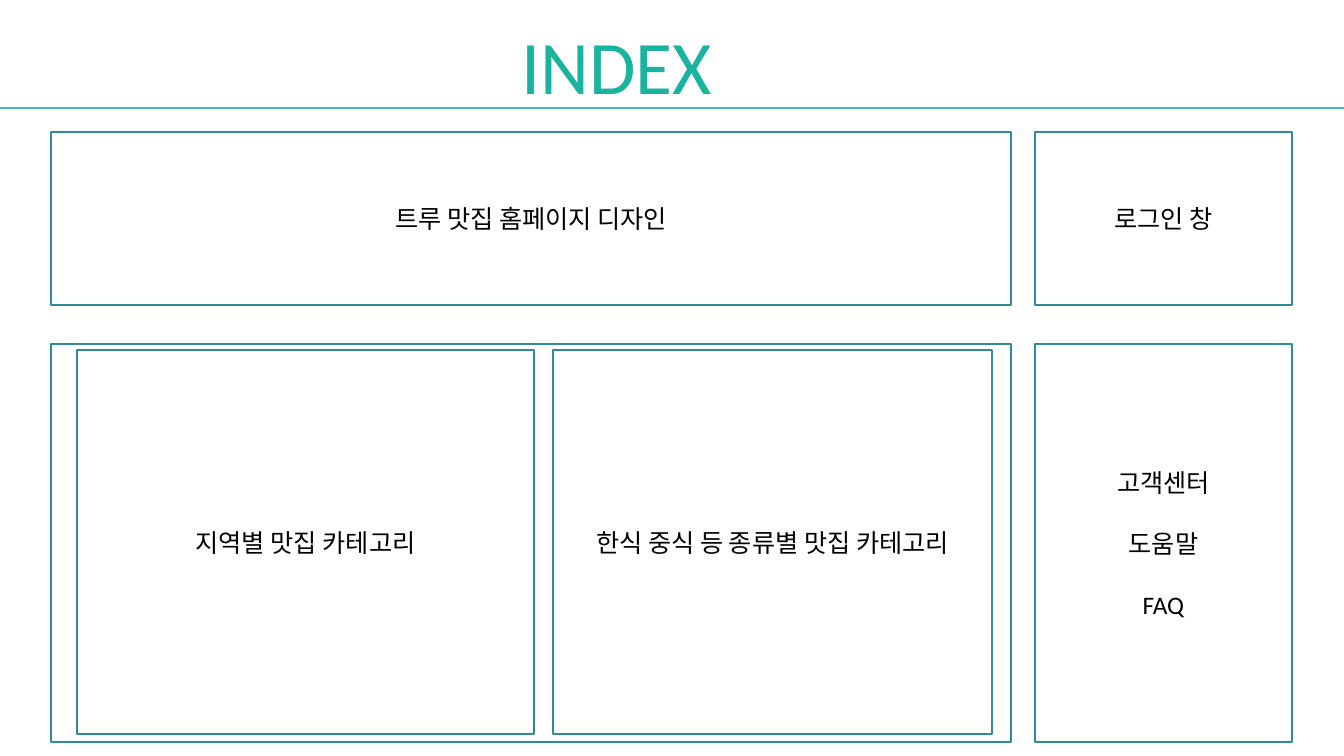
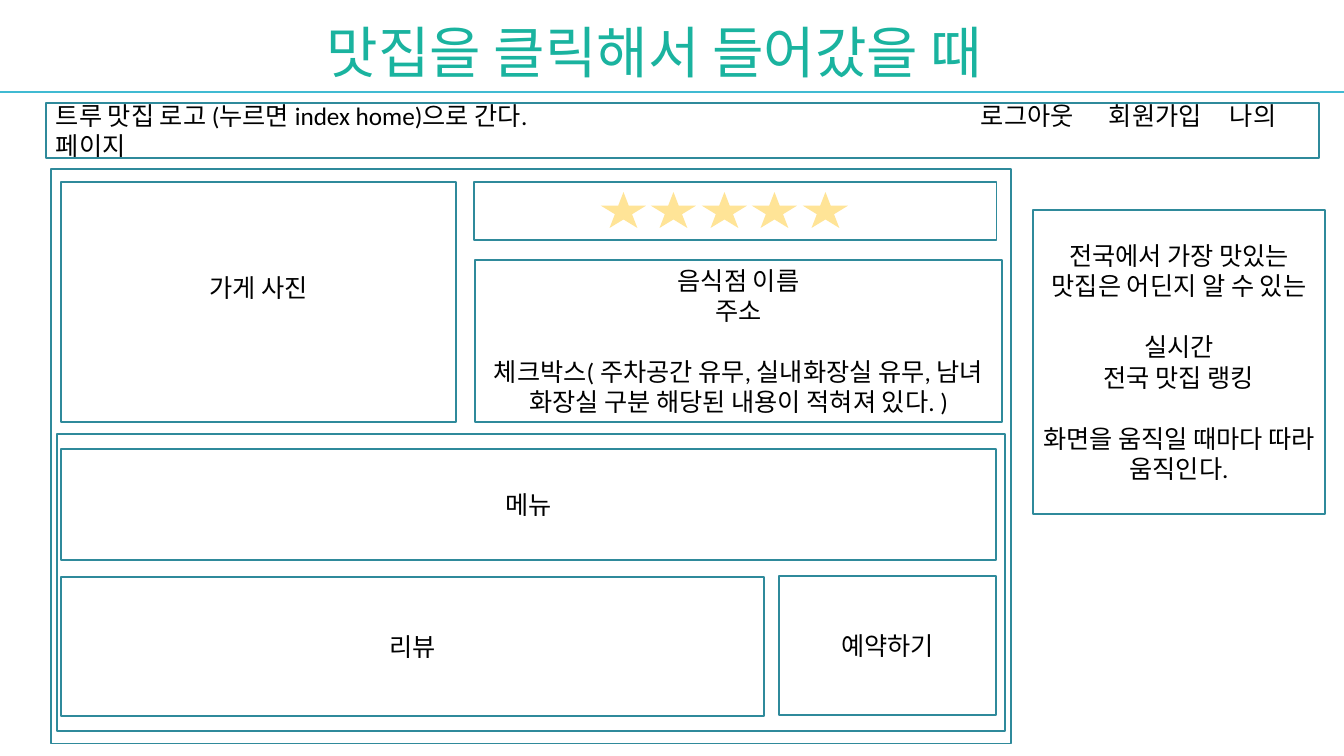
import pptx
import pptx.util
import pptx.dml.color
import pptx.enum.shapes
import pptx.enum.text
import pptx.oxml.ns
from lxml import etree

PX = 9071
GAP = pptx.util.Pt(22)
FONT = "Calibri"
TITLE, RULE, EDGE = "1AB39F", "40BAD2", "2F8A9B"
PAPER, INK, STAR = "FFFFFF", "000000", "FFE497"
ALIGN = pptx.enum.text.PP_ALIGN
ANCHOR = pptx.enum.text.MSO_ANCHOR
SHAPE = pptx.enum.shapes.MSO_SHAPE


def color(value):
    return pptx.dml.color.RGBColor.from_string(value)


def add_box(page, left, top, width, height, text=""):
    box = page.shapes.add_shape(
        SHAPE.RECTANGLE, left * PX, top * PX, width * PX, height * PX)
    box.shadow.inherit = False
    box.fill.solid()
    box.fill.fore_color.rgb = color(PAPER)
    box.line.color.rgb = color(EDGE)
    box.line.width = pptx.util.Pt(0.85)
    frame = box.text_frame
    frame.word_wrap = True
    frame.vertical_anchor = ANCHOR.MIDDLE
    if text:
        for block_index, block in enumerate(text.split("\n\n")):
            for line_index, line in enumerate(block.split("\n")):
                first = block_index == line_index == 0
                para = frame.paragraphs[0] if first else frame.add_paragraph()
                para.text = line
                para.alignment = ALIGN.CENTER
                if block_index and line_index == 0:
                    para.space_before = GAP
                para.font.name = FONT
                para.font.size = pptx.util.Pt(18)
                para.font.color.rgb = color(INK)
    return box


deck = pptx.Presentation()
deck.slide_width = 1344 * PX
deck.slide_height = 756 * PX

headings = [
    ("INDEX", 54, (502, 14, 230, 102), 108),
    ("맛집을 클릭해서 들어갔을 때", 40, (172, 12, 965, 78), 92),
]
for text, size, (left, top, width, height), rule_top in headings:
    page = deck.slides.add_slide(deck.slide_layouts[5])
    title = page.shapes.title
    title.left, title.top = left * PX, top * PX
    title.width, title.height = width * PX, height * PX
    frame = title.text_frame
    frame.auto_size = pptx.enum.text.MSO_AUTO_SIZE.NONE
    frame.word_wrap = True
    frame.vertical_anchor = ANCHOR.TOP
    para = frame.paragraphs[0]
    para.text = text
    para.alignment = ALIGN.CENTER
    para.font.name = FONT
    para.font.size = pptx.util.Pt(size)
    para.font.color.rgb = color(TITLE)

    rule = page.shapes.add_connector(
        pptx.enum.shapes.MSO_CONNECTOR.STRAIGHT,
        0, rule_top * PX, deck.slide_width, rule_top * PX)
    rule.line.color.rgb = color(RULE)
    rule.line.width = pptx.util.Pt(0.75)
    etree.SubElement(
        rule._element.spPr, pptx.oxml.ns.qn("a:effectLst"))

index_page, store_page = deck.slides

index_boxes = [
    (51, 132, 960, 173, "트루 맛집 홈페이지 디자인"),
    (1035, 132, 257, 173, "로그인 창"),
    (51, 344, 960, 398),
    (1035, 344, 257, 398, "고객센터\n\n도움말\n\nFAQ"),
    (77, 350, 457, 384, "지역별 맛집 카테고리"),
    (553, 350, 439, 384, "한식 중식 등 종류별 맛집 카테고리"),
]
for box in index_boxes:
    add_box(index_page, *box)

menu_bar = add_box(
    store_page, 46, 103, 1273, 55,
    "트루 맛집 로고 (누르면 index home)으로 간다.\t로그아웃\t회원가입\t나의 페이지")
para = menu_bar.text_frame.paragraphs[0]
para.alignment = ALIGN.LEFT
tabs = etree.Element(pptx.oxml.ns.qn("a:tabLst"))
for stop in (925, 1053, 1174):
    etree.SubElement(
        tabs, pptx.oxml.ns.qn("a:tab"), pos=str(stop * PX), algn="l")
para._p.get_or_add_pPr().insert(0, tabs)

store_boxes = [
    (51, 169, 960, 575),
    (475, 260, 527, 162,
     "음식점 이름\n주소\n\n체크박스( 주차공간 유무, 실내화장실 유무, "
     "남녀 화장실 구분 해당된 내용이 적혀져 있다. )"),
    (57, 434, 948, 297),
    (61, 449, 935, 111, "메뉴"),
    (1033, 210, 292, 304,
     "전국에서 가장 맛있는 맛집은 어딘지 알 수 있는\n\n"
     "실시간\n전국 맛집 랭킹\n\n화면을 움직일 때마다 따라 움직인다."),
    (474, 182, 523, 58),
    (61, 577, 703, 139, "리뷰"),
    (779, 576, 217, 139, "예약하기"),
]
for box in store_boxes:
    add_box(store_page, *box)

photo = add_box(store_page, 61, 182, 395, 240, "가게 사진")
photo.text_frame.margin_bottom = 35 * PX

rating = store_page.shapes.add_group_shape()
for index in range(5):
    star = rating.shapes.add_shape(
        SHAPE.STAR_5_POINT, (601 + index * 101 // 2) * PX, 192 * PX,
        45 * PX, 36 * PX)
    star.shadow.inherit = False
    star.fill.solid()
    star.fill.fore_color.rgb = color(STAR)
    star.line.fill.background()

deck.save("out.pptx")
